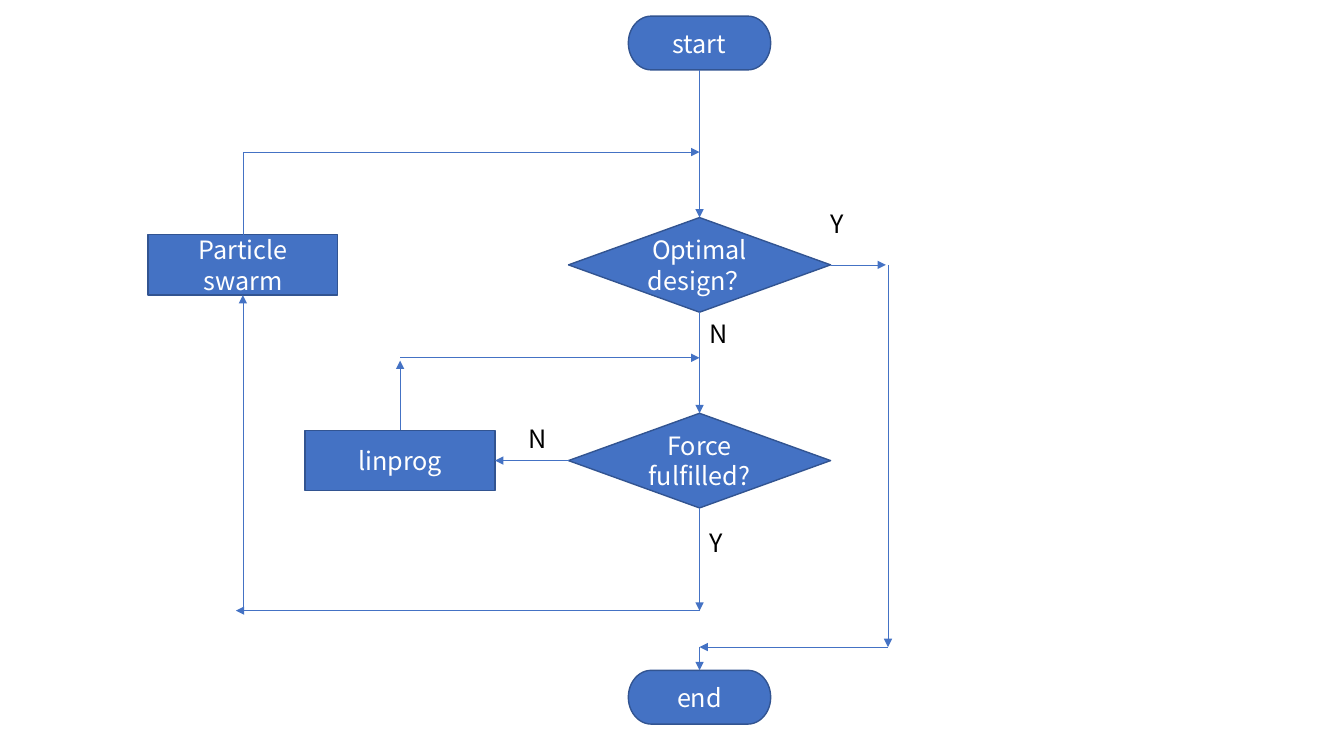
from lxml import etree
from pptx import Presentation
from pptx.dml.color import RGBColor
from pptx.enum.shapes import MSO_CONNECTOR, MSO_SHAPE
from pptx.enum.text import MSO_ANCHOR, PP_ALIGN
from pptx.oxml.ns import qn
from pptx.util import Pt

LINE = MSO_CONNECTOR.STRAIGHT
OVAL = MSO_SHAPE.FLOWCHART_TERMINATOR
TEST = MSO_SHAPE.FLOWCHART_DECISION
RECT = MSO_SHAPE.RECTANGLE
MIDDLE, TOP = MSO_ANCHOR.MIDDLE, MSO_ANCHOR.TOP
CENTER, LEFT = PP_ALIGN.CENTER, PP_ALIGN.LEFT

FONT = "Noto Sans CJK SC"
COLORS = {"fill": "4472C4", "edge": "325491", "light": "FFFFFF", "dark": "000000"}
SIZES = {OVAL: (101.7, 38.4), TEST: (187.2, 67.6), RECT: (135.6, 43.2)}

MAIN, SWARM, PROG, EXIT = 499.7, 173.5, 285.8, 634.3
LOOP, RETRY, BACK, FINISH = 108.6, 255.6, 436.2, 462.2

NODES = {
    "start": ("start", OVAL, MAIN, 30.7),
    "design": ("Optimal design？", TEST, MAIN, 189.2),
    "force": ("Force fulfilled?", TEST, MAIN, 329),
    "swarm": ("Particle swarm", RECT, SWARM, 189.2),
    "prog": ("linprog", RECT, PROG, 329),
    "end": ("end", OVAL, MAIN, 498),
}
LABELS = [
    ("N", MAIN, 223.9),
    ("N", 370.1, 298.8),
    ("Y", MAIN, 373),
    ("Y", 586.1, 145.4),
]


def port(name, side):
    text, kind, x, y = NODES[name]
    w, h = SIZES[kind]
    dx, dy = {"top": (0, -1), "bottom": (0, 1), "left": (-1, 0), "right": (1, 0)}[side]
    return x + dx * w / 2, y + dy * h / 2


ARROWS = [
    (port("start", "bottom"), port("design", "top")),
    (port("design", "bottom"), port("force", "top")),
    (port("force", "bottom"), (MAIN, BACK)),
    (port("force", "left"), port("prog", "right")),
    (port("prog", "top"), (PROG, RETRY + 2)),
    ((PROG, RETRY), (MAIN, RETRY)),
    ((MAIN, BACK), (SWARM - 5, BACK)),
    ((SWARM, BACK), port("swarm", "bottom")),
    ((SWARM, LOOP), (MAIN, LOOP)),
    (port("design", "right"), (EXIT - 1.5, 189.2)),
    ((EXIT, 189.2), (EXIT, FINISH)),
    ((EXIT, FINISH), (MAIN, FINISH)),
    ((MAIN, FINISH), port("end", "top")),
]


def color(name):
    return RGBColor.from_string(COLORS[name])


def write(shape, text, tint="dark", align=LEFT, anchor=TOP):
    frame = shape.text_frame
    frame.word_wrap = True
    frame.vertical_anchor = anchor
    para = frame.paragraphs[0]
    para.alignment = align
    run = para.add_run()
    run.text = text
    run.font.size = Pt(18)
    run.font.name = FONT
    run.font.color.rgb = color(tint)
    etree.SubElement(run.font._element, qn("a:ea")).set("typeface", FONT)


def join(shapes, start, stop, head=True):
    link = shapes.add_connector(LINE, *[Pt(v) for v in (*start, *stop)])
    link.line.color.rgb = color("fill")
    link.line.width = Pt(0.5)
    if head:
        etree.SubElement(link.line._get_or_add_ln(), qn("a:tailEnd")).set("type", "triangle")
    etree.SubElement(link._element.spPr, qn("a:effectLst"))


def main():
    deck = Presentation()
    deck.slide_width, deck.slide_height = Pt(960), Pt(540)
    shapes = deck.slides.add_slide(deck.slide_layouts[6]).shapes

    for text, kind, x, y in NODES.values():
        w, h = SIZES[kind]
        node = shapes.add_shape(kind, Pt(x - w / 2), Pt(y - h / 2), Pt(w), Pt(h))
        node.shadow.inherit = False
        node.fill.solid()
        node.fill.fore_color.rgb = color("fill")
        node.line.color.rgb = color("edge")
        node.line.width = Pt(1)
        write(node, text, tint="light", align=CENTER, anchor=MIDDLE)

    for start, stop in ARROWS:
        join(shapes, start, stop)
    join(shapes, port("swarm", "top"), (SWARM, LOOP), head=False)

    for text, x, y in LABELS:
        write(shapes.add_textbox(Pt(x), Pt(y), Pt(36), Pt(28.8)), text)

    deck.save("out.pptx")


if __name__ == "__main__":
    main()
